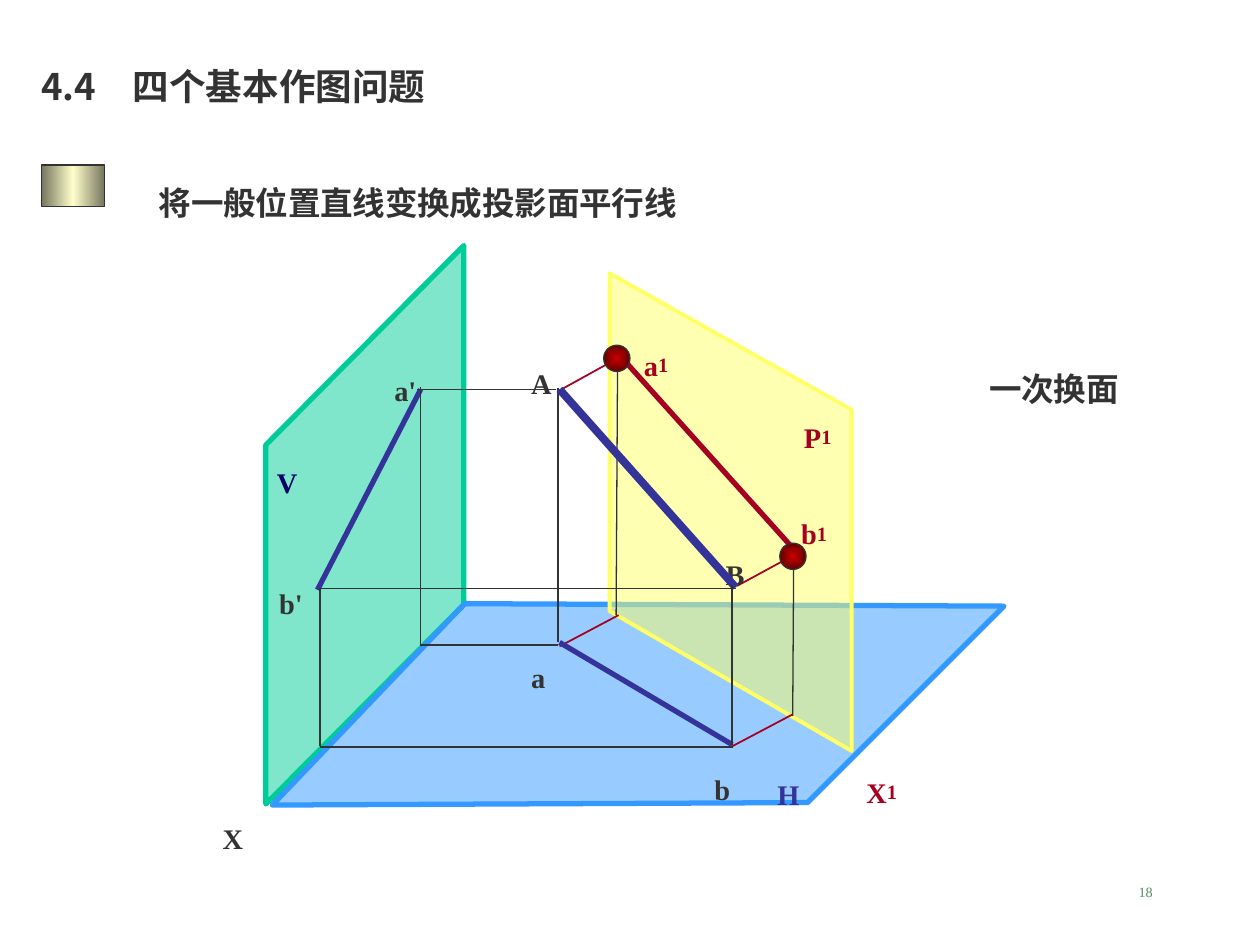
from dataclasses import dataclass

from lxml import etree
from pptx import Presentation
from pptx import util as u
from pptx.dml.color import RGBColor
from pptx.enum import shapes, text
from pptx.oxml import parse_xml
from pptx.oxml.ns import nsdecls, qn


@dataclass(frozen=True)
class Theme:
    ink: str = "333333"
    navy: str = "000066"
    blue: str = "333399"
    red: str = "A50021"
    green_plane: str = "00CC99"
    blue_plane: str = "3399FF"
    yellow_plane: str = "FFFF66"
    number: str = "578963"
    marker: tuple = ((0, "76765E"), (50, "FFFFCC"), (100, "76765E"))
    ball: tuple = ((0, "CC0000"), (100, "5E0000"))
    cjk: str = "Noto Sans CJK SC"
    serif: str = "Times New Roman"
    title: int = 36
    body: int = 32
    label: int = 28
    index: int = 20
    page: int = 14
    thin: float = 0.75
    medium: float = 1
    thick: float = 3


class Drawing:
    """Holds the theme and the current slide."""

    def __init__(self, theme, slide):
        self.theme = theme
        self.slide = slide

    def caption(self, box, at, parts, color, font, bold=True,
                align=text.PP_ALIGN.LEFT, anchor=text.MSO_ANCHOR.TOP):
        """Fill a box with one lowered line; parts are (wording, size) pairs."""
        box.left, box.top, box.width, box.height = (u.Cm(v) for v in at)
        frame = box.text_frame
        frame.auto_size = text.MSO_AUTO_SIZE.NONE
        frame.word_wrap = True
        frame.vertical_anchor = anchor
        line = frame.paragraphs[0]
        line.alignment = align
        line.space_before = u.Pt(0)
        line.font.size = u.Pt(parts[0][1])
        line.font.bold = bold
        line.font.name = font
        line.font.color.rgb = RGBColor.from_string(color)
        for wording, size in parts:
            run = line.add_run()
            run.text = wording
            if size != parts[0][1]:
                run.font.size = u.Pt(size)
            props = run._r.get_or_add_rPr()
            props.set("baseline", "-25000")
            etree.SubElement(props, qn("a:ea"), typeface=self.theme.cjk)
        return line

    def heading(self, box, at, wording, size, font=None):
        line = self.caption(box, at, [(wording, size)], self.theme.ink, font or self.theme.cjk)
        line.line_spacing = 0.8
        return line

    def textbox(self):
        return self.slide.shapes.add_textbox(0, 0, 0, 0)

    def label(self, at, letter, color, index=None):
        t = self.theme
        parts = [(letter, t.label)]
        style = {}
        if index:
            parts.append((index, t.index))
            style = dict(align=text.PP_ALIGN.CENTER, anchor=text.MSO_ANCHOR.MIDDLE)
        self.caption(self.textbox(), (*at, 1.45), parts, color, t.serif, **style)

    def plane(self, corners, color, width):
        points = [(u.Cm(x), u.Cm(y)) for x, y in corners]
        builder = self.slide.shapes.build_freeform(*points[0])
        builder.add_line_segments(points[1:], close=True)
        plane = builder.convert_to_shape()
        plane.shadow.inherit = False
        plane.fill.solid()
        plane.fill.fore_color.rgb = RGBColor.from_string(color)
        tint = plane._element.spPr.find(qn("a:solidFill"))[0]
        etree.SubElement(tint, qn("a:alpha"), val="50000")
        self.outline(plane.line, color, width)

    def outline(self, line, color, width):
        line.color.rgb = RGBColor.from_string(color)
        line.width = u.Pt(width)

    def line(self, start, end, color, width):
        edge = self.slide.shapes.add_connector(
            shapes.MSO_CONNECTOR.STRAIGHT, *(u.Cm(v) for v in (*start, *end)))
        self.outline(edge.line, color, width)
        etree.SubElement(edge._element.spPr, qn("a:effectLst"))

    def shaded(self, kind, at, stops, direction):
        """Draw a preset shape with a gradient."""
        shape = self.slide.shapes.add_shape(kind, *(u.Cm(v) for v in at))
        shape.shadow.inherit = False
        self.outline(shape.line, self.theme.ink, self.theme.thin)
        colors = "".join(f'<a:gs pos="{pos * 1000}"><a:srgbClr val="{color}"/></a:gs>'
                         for pos, color in stops)
        shape._element.spPr.find(qn("a:prstGeom")).addnext(parse_xml(
            f'<a:gradFill {nsdecls("a")} rotWithShape="1">'
            f'<a:gsLst>{colors}</a:gsLst>{direction}</a:gradFill>'))


def main():
    deck = Presentation()
    deck.slide_width, deck.slide_height = u.Cm(25.4), u.Cm(19.05)
    slide = deck.slides.add_slide(deck.slide_layouts[1])
    t = Theme()
    d = Drawing(t, slide)

    # Headings and page number
    title, subtitle = slide.placeholders
    d.heading(title, (0.58, 0.48, 13.84, 1.78), "4.4　四个基本作图问题", t.title)
    topic = d.heading(subtitle, (2.95, 2.95, 20.19, 1.6), "将一般位置直线变换成投影面平行线", t.body)
    props = topic._p.get_or_add_pPr()
    props.set("marL", "0")
    props.set("indent", "0")
    props.find(qn("a:defRPr")).addprevious(etree.Element(qn("a:buNone")))
    d.caption(d.textbox(), (18.21, 17.35, 5.28, 1.27), [("18", t.page)],
              t.number, t.serif, bold=False, align=text.PP_ALIGN.RIGHT)
    d.shaded(shapes.MSO_SHAPE.RECTANGLE, (0.84, 3.33, 1.27, 0.84), t.marker, '<a:lin ang="0"/>')

    # Planes V and H
    d.plane([(5.36, 8.97), (5.36, 16.21), (9.35, 12.19), (9.35, 4.95)], t.green_plane, t.thick)
    d.plane([(5.49, 16.23), (16.28, 16.18), (20.24, 12.22), (9.37, 12.17)], t.blue_plane, t.thick)
    for at, letter, color in [((5.33, 8.59, 1.22), "V", t.navy),
                              ((15.42, 14.88, 1.27), "H", t.blue),
                              ((4.24, 15.77, 1.22), "X", t.ink)]:
        d.label(at, letter, color)

    # New plane P1 and the projection onto it
    d.plane([(12.29, 5.51), (12.29, 12.32), (17.17, 15.14), (17.17, 8.26)], t.yellow_plane, 2.25)
    for start, end, color, width in [
        ((14.86, 11.81), (16.02, 11.18), t.red, t.medium),
        ((15.98, 14.43), (16, 11.18), t.ink, t.thin),
        ((16, 11.07), (12.4, 7.06), t.red, t.thick),
        ((11.28, 7.87), (12.42, 7.24), t.red, t.medium),
        ((14.73, 15.06), (15.98, 14.4), t.red, t.medium),
        ((11.28, 13.03), (12.47, 12.4), t.red, t.medium),
        ((12.42, 12.4), (12.45, 7.24), t.ink, t.thin),
    ]:
        d.line(start, end, color, width)
    for at, letter in [((15.75, 7.75, 1.47), "P"), ((16.99, 14.91, 1.57), "X"),
                       ((12.55, 6.3, 1.35), "a"), ((15.7, 9.7, 1.42), "b")]:
        d.label(at, letter, t.red, index="1")
    center = '<a:path path="shape"><a:fillToRect l="50000" t="50000" r="50000" b="50000"/></a:path>'
    for corner in [(12.17, 6.96), (15.72, 10.95)]:
        d.shaded(shapes.MSO_SHAPE.OVAL, (*corner, 0.53, 0.53), t.ball, center)

    # Line AB with its projections on V and H
    for at, letter in [((10.46, 6.6, 1.22), "A"), ((10.46, 12.52, 1.02), "a"),
                       ((14.15, 14.78, 1.14), "b"), ((7.7, 6.73, 1.27), "a'"),
                       ((5.38, 11.02, 1.35), "b'"), ((14.38, 10.44, 1.17), "B")]:
        d.label(at, letter, t.ink)
    for start, end, color, width in [
        ((14.83, 11.86), (6.45, 11.86), t.ink, t.thin),
        ((8.48, 7.85), (6.4, 11.89), t.blue, t.thick),
        ((11.25, 12.95), (11.25, 7.82), t.ink, t.thin),
        ((14.78, 15.06), (6.45, 15.06), t.ink, t.thin),
        ((8.48, 13), (8.48, 7.8), t.ink, t.thin),
        ((11.28, 12.95), (14.76, 15.01), t.blue, t.thick),
        ((11.25, 13), (8.46, 13), t.ink, t.thin),
        ((11.2, 7.85), (8.41, 7.85), t.ink, t.thin),
        ((14.83, 11.84), (11.28, 7.85), t.blue, 4.5),
        ((6.45, 15.04), (6.45, 11.86), t.ink, t.medium),
        ((14.76, 15.01), (14.76, 11.79), t.ink, t.medium),
    ]:
        d.line(start, end, color, width)

    # Remark
    d.heading(d.textbox(), (19.69, 6.71, 5.05, 1.6), "一次换面", t.body, t.serif)

    deck.save("out.pptx")


if __name__ == "__main__":
    main()
